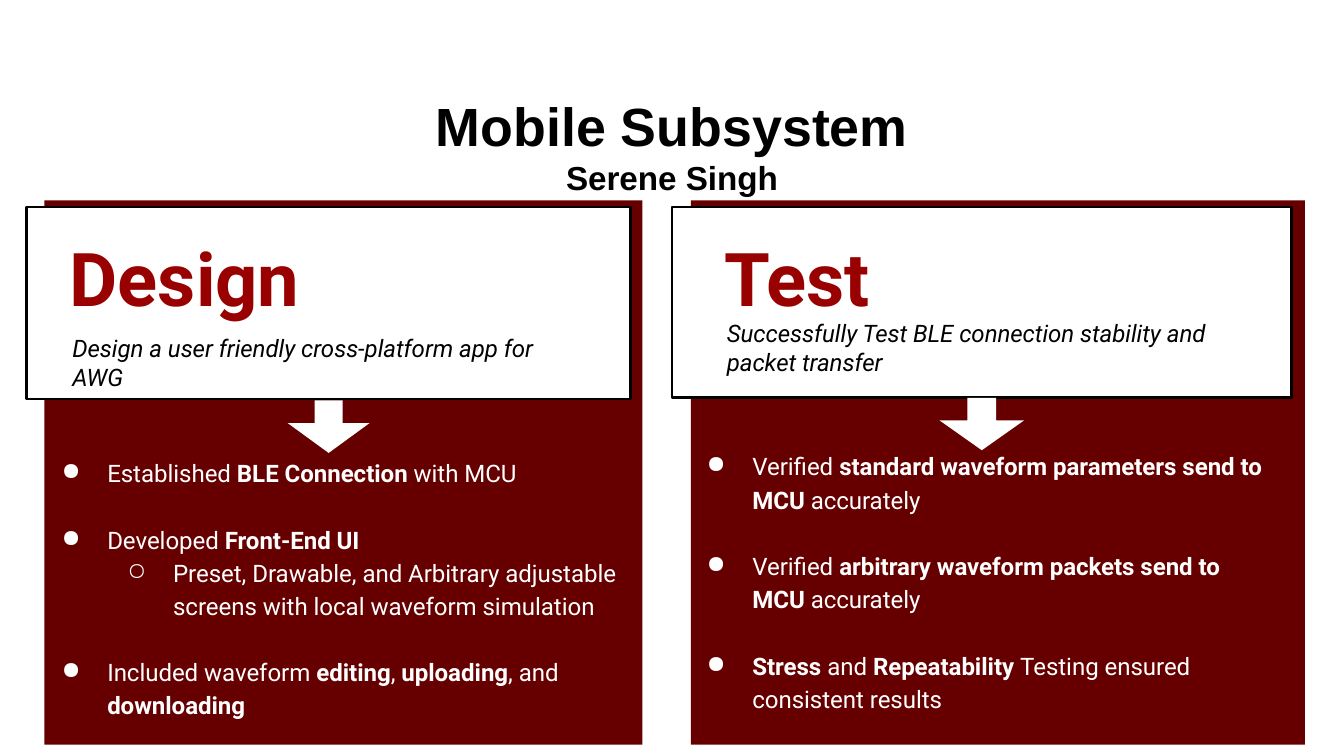
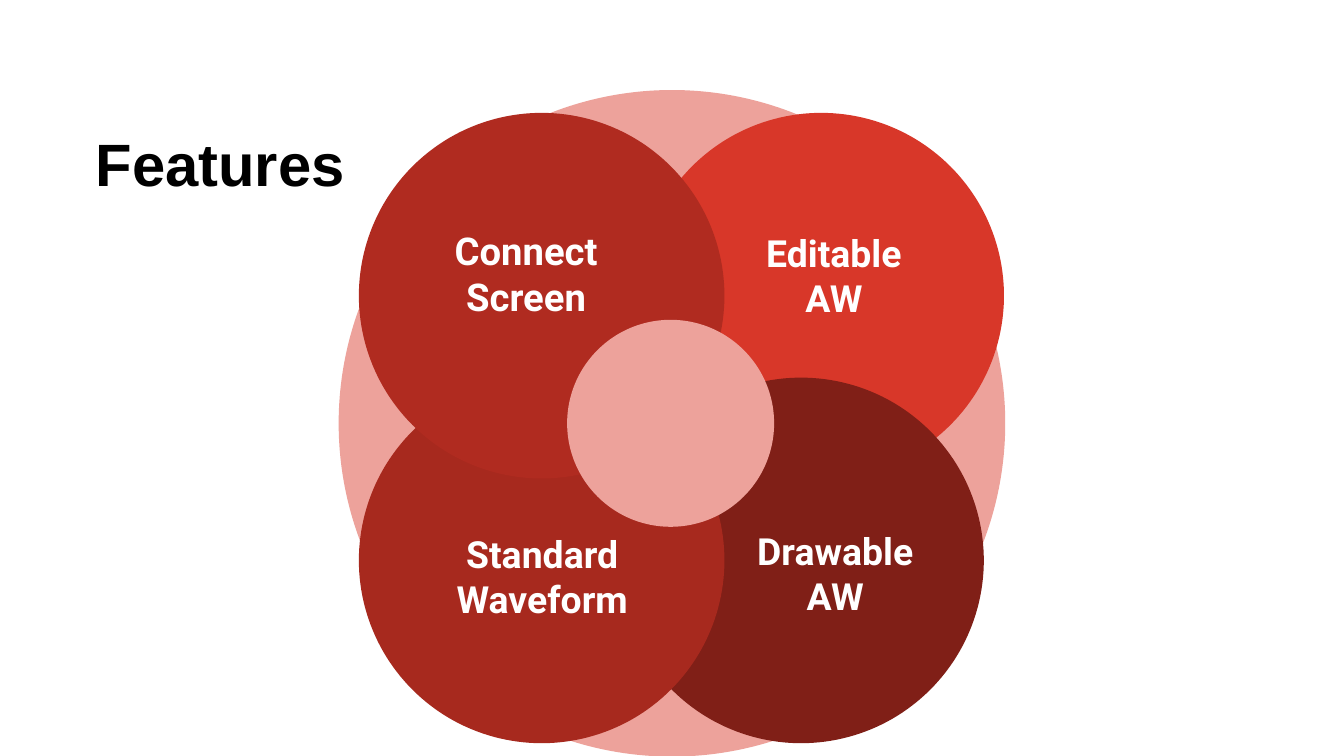
from lxml import etree
from pptx import Presentation
from pptx.dml.color import RGBColor
from pptx.enum.shapes import MSO_SHAPE
from pptx.enum.text import MSO_ANCHOR, PP_ALIGN
from pptx.oxml.ns import qn
from pptx.util import Inches, Pt

RECT, OVAL, ARROW = MSO_SHAPE.RECTANGLE, MSO_SHAPE.OVAL, MSO_SHAPE.RIGHT_ARROW
LEFT, MID = PP_ALIGN.LEFT, PP_ALIGN.CENTER
TOP, CENTER = MSO_ANCHOR.TOP, MSO_ANCHOR.MIDDLE

BLACK, WHITE = "000000", "FFFFFF"
MAROON, CRIMSON, PINK = "660000", "990000", "EDA29B"
HEAD, BODY = "Arial", "Roboto"
SMALL, LARGE = 12.9, 39.7
GAP = 17.8  # one body line, in points


def rgb(code):
    return RGBColor.from_string(code)


class Deck:
    """Style and current slide; the grid is 100 columns by 56.25 rows."""

    def __init__(self):
        self.prs = Presentation()
        self.prs.slide_width = Inches(10)
        self.prs.slide_height = Inches(5.625)
        self.cell = self.prs.slide_width / 100
        self.page = None

    def new(self):
        self.page = self.prs.slides.add_slide(self.prs.slide_layouts[6])

    def grid(self, box):
        return [round(n * self.cell) for n in box]

    def shape(self, kind, box, fill, line=None):
        item = self.page.shapes.add_shape(kind, *self.grid(box))
        item.shadow.inherit = False
        item.fill.solid()
        item.fill.fore_color.rgb = rgb(fill)
        if line:
            item.line.color.rgb = rgb(line)
            item.line.width = Pt(1.5)
        else:
            item.line.fill.background()
        return item

    def arrow(self, box):
        item = self.shape(ARROW, box, WHITE)
        item.rotation = 90
        item.adjustments[0] = 0.34
        item.adjustments[1] = 0.57

    def frame(self, box, pad=1, anchor=TOP):
        text = self.page.shapes.add_textbox(*self.grid(box)).text_frame
        text.word_wrap = True
        text.vertical_anchor = anchor
        side, edge = self.grid((1, pad))
        text.margin_left = text.margin_right = max(side, edge)
        text.margin_top = text.margin_bottom = edge
        return text

    def font(self, para, size, color, face=BODY, bold=None, slant=None):
        font = para.font
        font.size, font.name = Pt(size), face
        font.bold, font.italic = bold, slant
        font.color.rgb = rgb(color)

    def text(self, box, lines, color=BLACK, face=BODY, bold=None, slant=None,
             align=LEFT, pad=1, anchor=TOP):
        frame = self.frame(box, pad, anchor)
        for i, (words, size) in enumerate(lines):
            para = frame.add_paragraph() if i else frame.paragraphs[0]
            para.add_run().text = words
            para.alignment = align
            self.font(para, size, color, face, bold, slant)

    def bullet(self, para, level):
        prop = para._p.get_or_add_pPr()
        prop.set("marL", str(Inches((0.5, 0.99)[level])))
        prop.set("indent", str(Inches(-0.34)))
        tint = etree.SubElement(prop, qn("a:buClr"))
        etree.SubElement(tint, qn("a:srgbClr"), val=WHITE)
        etree.SubElement(prop, qn("a:buChar"), char="●○"[level])

    def bullets(self, box, items):
        """Words between asterisks are bold."""
        frame = self.frame(box)
        for i, (level, words) in enumerate(items):
            para = frame.add_paragraph() if i else frame.paragraphs[0]
            para.level = level
            self.bullet(para, level)
            para.line_spacing = 1.15
            if i and level == 0:
                para.space_before = Pt(GAP)
            self.font(para, SMALL, WHITE)
            for n, part in enumerate(words.split("*")):
                if part:
                    run = para.add_run()
                    run.text = part
                    run.font.bold = n % 2 == 1

    def panel(self, back, card, head, name, note, goal, arrow, list_box, items):
        self.shape(RECT, back, MAROON)
        self.shape(RECT, card, WHITE, BLACK)
        self.text(note, [(goal, SMALL)], slant=True)
        self.text(head, [(name, LARGE)], CRIMSON, bold=True)
        self.arrow(arrow)
        self.bullets(list_box, items)

    def petal(self, spot, fill, label, words, size=20):
        self.shape(OVAL, (*spot, 27.2, 27.2), fill)
        self.text((*label, 16.7, 8.3), [(words, size)], WHITE, bold=True,
                  align=MID, pad=1.1, anchor=CENTER)


def subsystem(deck):
    deck.new()
    deck.text((5, 7.5, 90, 6.6), [("Mobile Subsystem", 28.8), ("Serene Singh", 17.8)],
              face=HEAD, bold=True, align=MID, pad=0.5, anchor=CENTER)

    # Left panel
    deck.panel(
        (3.3, 14.9, 44.5, 40.5), (2, 15.4, 44.9, 14.3),
        (4.2, 16.3, 39.8, 6.8), "Design",
        (4.4, 23.8, 39.8, 6.1), "Design a user friendly cross-platform app for AWG",
        (22.5, 28.7, 3.9, 6.1), (2, 32.8, 47, 22.1), [
            (0, "Established* BLE Connection *with MCU"),
            (0, "Developed *Front-End UI*"),
            (1, "Preset, Drawable, and Arbitrary adjustable "
                "screens with local waveform simulation"),
            (0, "Included waveform *editing*, *uploading*, and *downloading*"),
        ])

    # Right panel
    deck.panel(
        (51.4, 14.9, 45.7, 40.5), (50, 15.4, 46.1, 14.2),
        (52.9, 16.3, 26.9, 6.7), "Test",
        (53.1, 22.7, 40.8, 6),
        "Successfully Test BLE connection stability and packet transfer",
        (71.1, 28.4, 3.9, 6.3), (50, 32.3, 45.7, 22.1), [
            (0, "Verified *standard waveform parameters send to MCU *accurately"),
            (0, "Verified *arbitrary waveform packets send to MCU *accurately"),
            (0, "*Stress *and *Repeatability *Testing ensured consistent results"),
        ])


def features(deck):
    deck.new()
    # Disc, four petals and hub
    deck.shape(OVAL, (25.2, 6.7, 49.6, 49.6), PINK)
    deck.petal((47.5, 8.4), "D83729", (53.7, 16.3), "Editable AW")
    deck.petal((46, 28.1), "801F17", (53.8, 38.5), "Drawable AW")
    deck.petal((26.7, 28.1), "A7291E", (32, 38.7), "Standard Waveform")
    deck.petal((26.7, 8.4), "B02B20", (30.8, 16.2), "Connect Screen", 20.5)
    deck.shape(OVAL, (42.2, 23.8, 15.4, 15.4), PINK)
    deck.text((0, 8.4, 32.8, 7.4), [("Features", 32)], face=HEAD, bold=True, align=MID)


def main():
    deck = Deck()
    subsystem(deck)
    features(deck)
    deck.prs.save("out.pptx")


if __name__ == "__main__":
    main()
